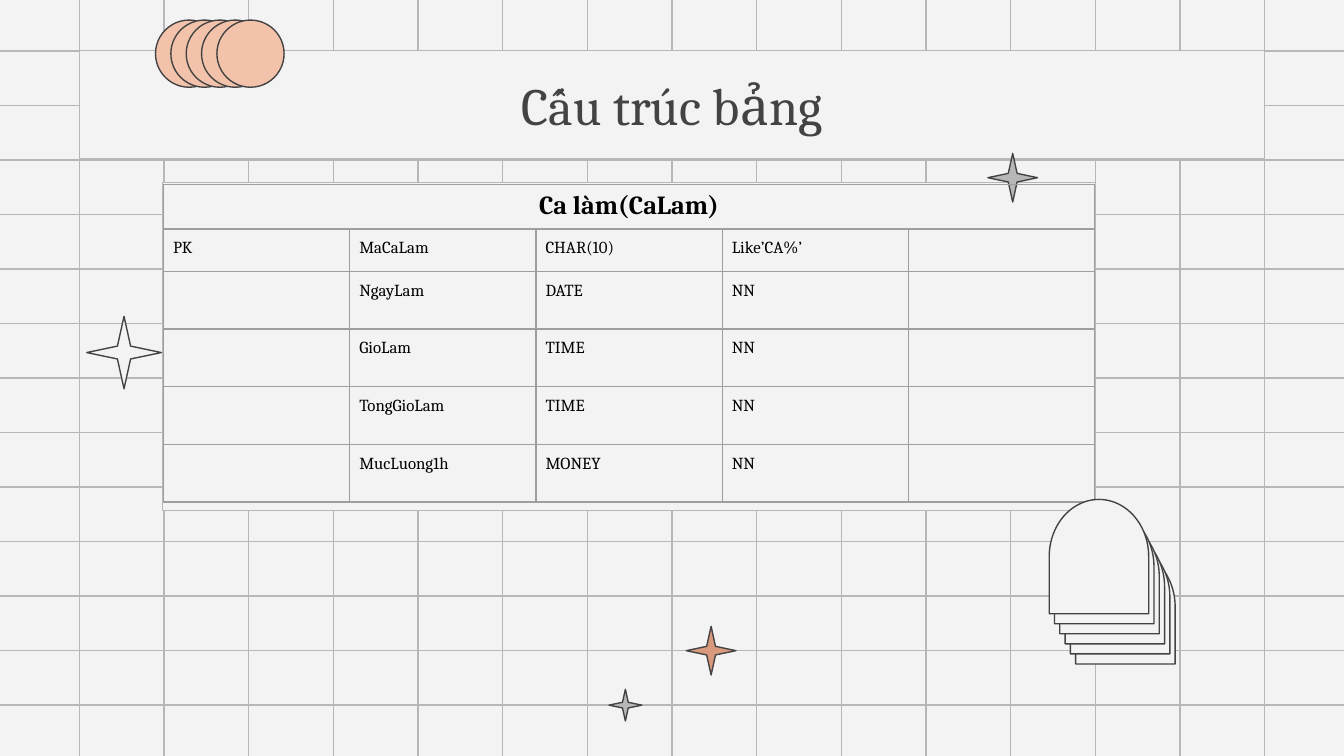
from dataclasses import dataclass

from lxml.etree import SubElement
from pptx import Presentation
from pptx.dml.color import RGBColor
from pptx.enum.shapes import MSO_CONNECTOR, MSO_SHAPE
from pptx.enum.text import MSO_ANCHOR, PP_ALIGN
from pptx.oxml import parse_xml
from pptx.oxml.ns import nsdecls, qn
from pptx.util import Cm, Pt


@dataclass(frozen=True)
class Theme:
    paper: str = "F3F3F3"
    grid: str = "B7B7B7"
    ink: str = "434343"
    table_text: str = "000000"
    table_border: str = "9E9E9E"
    peach: str = "F2C2AB"
    clay: str = "D9997D"
    font: str = "Cambria"
    title_size: float = 28
    heading_size: float = 14
    body_size: float = 9
    line_width: float = 0.75


THEME = Theme()
SLIDE_WIDTH, SLIDE_HEIGHT = 25.4, 14.29
GRID_STEP_X, GRID_STEP_Y = 1.6, 1.03
GRID_OVERHANG = 0.1

TABLE_HEADING = "Ca làm(CaLam)"
TABLE_ROWS = [
    ("PK", "MaCaLam", "CHAR(10)", "Like’CA%’", ""),
    ("", "NgayLam", "DATE", "NN", ""),
    ("", "GioLam", "TIME", "NN", ""),
    ("", "TongGioLam", "TIME", "NN", ""),
    ("", "MucLuong1h", "MONEY", "NN", ""),
]
COLUMN_WIDTH = 3.52
ROW_HEIGHTS = [0.84, 0.8] + [1.09] * 4

HEADING_FORMAT = {"alignment": PP_ALIGN.CENTER}
BODY_FORMAT = {"space_after": Pt(8)}
BODY_INSETS = dict.fromkeys(
    ("margin_left", "margin_top", "margin_right", "margin_bottom"), Cm(0.18))


def color(value):
    return RGBColor.from_string(value)


def apply_format(target, values):
    for attribute, value in values.items():
        setattr(target, attribute, value)


def add_grid_line(slide, x1, y1, x2, y2):
    grid_line = slide.shapes.add_connector(
        MSO_CONNECTOR.STRAIGHT, Cm(x1), Cm(y1), Cm(x2), Cm(y2))
    grid_line.line.color.rgb = color(THEME.grid)
    grid_line.line.width = Pt(THEME.line_width)
    SubElement(grid_line._element.spPr, qn("a:effectLst"))


def add_grid(slide):
    """Draw the grid outwards from the slide centre, each line in two halves."""
    center_x, center_y = SLIDE_WIDTH / 2, SLIDE_HEIGHT / 2
    left_half = (-GRID_OVERHANG, center_x)
    right_half = (center_x, SLIDE_WIDTH + GRID_OVERHANG)
    top_half = (-GRID_OVERHANG, center_y)
    bottom_half = (center_y, SLIDE_HEIGHT + GRID_OVERHANG)
    for step in range(-7, 8):
        x = center_x + step * GRID_STEP_X
        for top, bottom in (top_half, bottom_half):
            add_grid_line(slide, x, top, x, bottom)
    for step in range(-6, 7):
        y = center_y + step * GRID_STEP_Y
        for left, right in (left_half, right_half):
            add_grid_line(slide, left, y, right, y)


def add_outlined(slide, kind, left, top, width, height, fill, outline=THEME.ink):
    outlined = slide.shapes.add_shape(
        kind, Cm(left), Cm(top), Cm(width), Cm(height))
    outlined.shadow.inherit = False
    outlined.fill.solid()
    outlined.fill.fore_color.rgb = color(fill)
    outlined.line.color.rgb = color(outline)
    outlined.line.width = Pt(THEME.line_width)
    return outlined


def add_star(slide, left, top, width, height, fill):
    star = add_outlined(
        slide, MSO_SHAPE.STAR_4_POINT, left, top, width, height, fill)
    star.adjustments[0] = 0.125


def write(paragraph, text, size, text_color, bold=False):
    run = paragraph.add_run()
    run.text = text
    run.font.color.rgb = color(text_color)
    apply_format(run.font, {"name": THEME.font, "size": Pt(size), "bold": bold})


def add_title(slide, text):
    banner = add_outlined(slide, MSO_SHAPE.RECTANGLE, 1.5, 0.95, 22.4, 2.06,
                          THEME.paper, THEME.grid)
    apply_format(banner.text_frame, {
        "word_wrap": True, "vertical_anchor": MSO_ANCHOR.MIDDLE})
    heading = banner.text_frame.paragraphs[0]
    heading.alignment = PP_ALIGN.CENTER
    write(heading, text, THEME.title_size, THEME.ink)


def add_circles(slide):
    for index in range(5):
        add_outlined(slide, MSO_SHAPE.OVAL, 2.94 + index * 0.29, 0.38,
                     1.27, 1.27, THEME.peach)


def add_arches(slide):
    """Stack the arches from the lower right one to the front one."""
    for index in reversed(range(6)):
        arch = add_outlined(slide, MSO_SHAPE.FLOWCHART_DELAY,
                            19.69 + index * 0.1, 9.58 + index * 0.19,
                            2.16, 1.88, THEME.paper)
        arch.rotation = 270


def style_cell(cell):
    cell.fill.background()
    properties = cell._tc.get_or_add_tcPr()
    for position, side in enumerate(("lnL", "lnR", "lnT", "lnB")):
        properties.insert(position, parse_xml(
            f'<a:{side} {nsdecls("a")} w="{Pt(THEME.line_width)}"><a:solidFill>'
            f'<a:srgbClr val="{THEME.table_border}"/></a:solidFill></a:{side}>'))


def fill_cell(cell, text):
    apply_format(cell, BODY_INSETS)
    paragraph = cell.text_frame.paragraphs[0]
    apply_format(paragraph, BODY_FORMAT)
    if text:
        write(paragraph, text, THEME.body_size, THEME.table_text)
    else:
        # An empty cell needs its own type size to keep the row low
        end_properties = paragraph._p.get_or_add_endParaRPr()
        end_properties.set("sz", str(int(THEME.body_size * 100)))


def add_structure_table(slide):
    column_count = len(TABLE_ROWS[0])
    table = slide.shapes.add_table(
        len(ROW_HEIGHTS), column_count, Cm(3.09), Cm(3.49),
        Cm(COLUMN_WIDTH * column_count), Cm(sum(ROW_HEIGHTS))).table
    apply_format(table, {"first_row": False, "horz_banding": False})
    for column in table.columns:
        column.width = Cm(COLUMN_WIDTH)
    for row, height in zip(table.rows, ROW_HEIGHTS):
        row.height = Cm(height)
    for cell in table.iter_cells():
        style_cell(cell)

    heading_cell = table.cell(0, 0)
    heading_cell.merge(table.cell(0, column_count - 1))
    heading = heading_cell.text_frame.paragraphs[0]
    apply_format(heading, HEADING_FORMAT)
    write(heading, TABLE_HEADING, THEME.heading_size, THEME.table_text, True)
    for row_index, values in enumerate(TABLE_ROWS, 1):
        for column_index, value in enumerate(values):
            fill_cell(table.cell(row_index, column_index), value)


def main():
    presentation = Presentation()
    presentation.slide_width = Cm(SLIDE_WIDTH)
    presentation.slide_height = Cm(SLIDE_HEIGHT)
    slide = presentation.slides.add_slide(presentation.slide_layouts[6])
    slide.background.fill.solid()
    slide.background.fill.fore_color.rgb = color(THEME.paper)

    add_grid(slide)
    add_star(slide, 12.97, 11.84, 0.94, 0.92, THEME.clay)
    add_star(slide, 11.51, 13.03, 0.62, 0.6, THEME.grid)
    add_title(slide, "Cấu trúc bảng")
    add_circles(slide)
    add_outlined(slide, MSO_SHAPE.RECTANGLE, 3.07, 3.45, 17.63, 6.2,
                 THEME.paper, THEME.grid)
    add_star(slide, 18.67, 2.9, 0.94, 0.92, THEME.grid)
    add_structure_table(slide)
    add_star(slide, 1.64, 5.98, 1.41, 1.37, THEME.paper)
    add_arches(slide)
    presentation.save("out.pptx")


if __name__ == "__main__":
    main()
